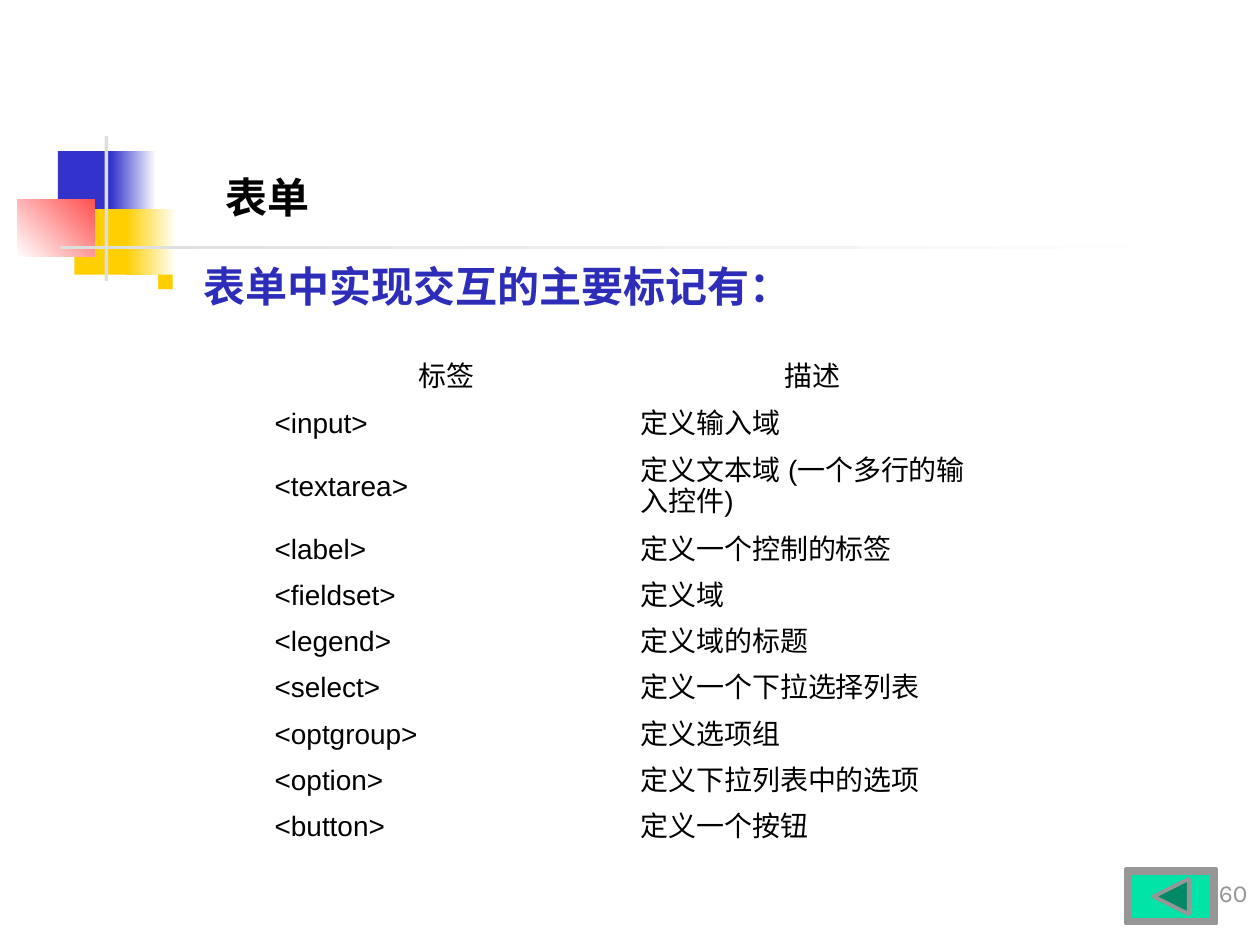
from lxml import etree
from pptx import Presentation
from pptx.dml.color import RGBColor
from pptx.enum.shapes import MSO_SHAPE
from pptx.enum.text import MSO_ANCHOR, PP_ALIGN
from pptx.oxml.ns import qn
from pptx.util import Inches, Pt

CJK_FONT = "Noto Sans CJK SC"
TAGS = [
    ("标签", "描述"),
    ("<input>", "定义输入域"),
    ("<textarea>", "定义文本域 (一个多行的输入控件)"),
    ("<label>", "定义一个控制的标签"),
    ("<fieldset>", "定义域"),
    ("<legend>", "定义域的标题"),
    ("<select>", "定义一个下拉选择列表"),
    ("<optgroup>", "定义选项组"),
    ("<option>", "定义下拉列表中的选项"),
    ("<button>", "定义一个按钮"),
]


def color(value):
    return RGBColor.from_string(value)


def style_paragraph(paragraph, size, font_name, text_color, bold=False):
    for run in paragraph.runs:
        font = run.font
        font.size, font.name, font.bold = Pt(size), font_name, bold
        font.color.rgb = color(text_color)
        east_asian = etree.SubElement(font._element, qn("a:ea"))
        east_asian.set("typeface", font_name)


def add_text(slide, left, top, width, height, text, anchor=MSO_ANCHOR.TOP):
    """Add a wrapped text box and return its paragraph."""
    box = slide.shapes.add_textbox(
        Inches(left), Inches(top), Inches(width), Inches(height))
    text_frame = box.text_frame
    text_frame.word_wrap = True
    text_frame.vertical_anchor = anchor
    text_frame.text = text
    return text_frame.paragraphs[0]


def add_block(slide, left, top, width, height, start, end=None, angle=0):
    """Add a borderless rectangle, solid or fading from start to end."""
    shape = slide.shapes.add_shape(
        MSO_SHAPE.RECTANGLE,
        Inches(left), Inches(top), Inches(width), Inches(height))
    shape.shadow.inherit = False
    shape.line.fill.background()
    if end is None:
        shape.fill.solid()
        shape.fill.fore_color.rgb = color(start)
        return
    shape.fill.gradient()
    shape.fill.gradient_angle = angle
    for stop, position, value in zip(
            shape.fill.gradient_stops, (0, 1), (start, end)):
        stop.position = position
        stop.color.rgb = color(value)


def add_ornament(slide, left, top):
    add_block(slide, left + 0.32, top + 0.12, 0.48, 0.52, "3333CC")
    add_block(slide, left + 0.74, top + 0.12, 0.36, 0.52, "3333CC", "FFFFFF")
    add_block(slide, left + 0.45, top + 0.58, 0.46, 0.52, "FFCF01")
    add_block(slide, left + 0.86, top + 0.58, 0.4, 0.52, "FFCF01", "FFFFFF")
    add_block(slide, left, top + 0.5, 0.61, 0.46, "FFFFFF", "FF5050", 45)
    add_block(slide, left + 0.69, top, 0.03, 1.15, "DDDDDD")
    add_block(slide, left + 0.34, top + 0.87, 9, 0.03, "DDDDDD", "FFFFFF")


def add_title(slide, left, top, width, height):
    paragraph = add_text(
        slide, left, top, width, height, "表单", MSO_ANCHOR.BOTTOM)
    style_paragraph(paragraph, 24, CJK_FONT, "000000", True)


def add_lead(slide, left, top, width, height):
    paragraph = add_text(
        slide, left, top, width, height, "表单中实现交互的主要标记有：")
    properties = paragraph._p.get_or_add_pPr()
    properties.set("marL", str(Inches(0.38)))
    properties.set("indent", str(-Inches(0.38)))
    bullet_color = etree.SubElement(properties, qn("a:buClr"))
    etree.SubElement(bullet_color, qn("a:srgbClr")).set("val", "FFCF01")
    etree.SubElement(properties, qn("a:buSzPct")).set("val", "60000")
    etree.SubElement(properties, qn("a:buChar")).set("char", "■")
    style_paragraph(paragraph, 24, CJK_FONT, "2D2DB9", True)


def add_tag_table(slide, left, top, width, height):
    frame = slide.shapes.add_table(
        len(TAGS), 2, Inches(left), Inches(top), Inches(width), Inches(height))
    table = frame.table
    table.first_row = table.horz_banding = False
    style = table._tbl.tblPr.find(qn("a:tableStyleId"))
    style.text = "{2D5ABB26-0587-4C30-8999-92F81FD0307C}"
    for row_index, texts in enumerate(TAGS):
        table.rows[row_index].height = Inches(0.62 if row_index == 2 else 0.35)
        for column_index, text in enumerate(texts):
            cell = table.cell(row_index, column_index)
            cell.fill.background()
            cell.vertical_anchor = MSO_ANCHOR.MIDDLE
            cell.margin_left = cell.margin_right = Inches(0.09)
            cell.text_frame.text = text
            paragraph = cell.text_frame.paragraphs[0]
            if row_index == 0:
                paragraph.alignment = PP_ALIGN.CENTER
            style_paragraph(paragraph, 16, "Arial", "000000")


def style_button_part(shape, fill_color):
    shape.shadow.inherit = False
    shape.fill.solid()
    shape.fill.fore_color.rgb = color(fill_color)
    shape.line.color.rgb = color("969696")
    shape.line.width = Pt(2.25)


def add_back_button(slide, left, top, width, height):
    frame = slide.shapes.add_shape(
        MSO_SHAPE.BEVEL,
        Inches(left), Inches(top), Inches(width), Inches(height))
    frame.adjustments[0] = 0.07
    style_button_part(frame, "00E4A8")
    center_x, center_y = left + width / 2, top + height / 2
    builder = slide.shapes.build_freeform(
        Inches(center_x - 0.14), Inches(center_y))
    builder.add_line_segments([
        (Inches(center_x + 0.14), Inches(center_y - 0.14)),
        (Inches(center_x + 0.14), Inches(center_y + 0.14)),
    ])
    style_button_part(builder.convert_to_shape(), "008965")


def add_page_number(slide, left, top, width, height):
    paragraph = add_text(
        slide, left, top, width, height, "60", MSO_ANCHOR.BOTTOM)
    paragraph.alignment = PP_ALIGN.RIGHT
    style_paragraph(paragraph, 14, "Karla", "969696")


def main():
    presentation = Presentation()
    presentation.slide_width = Inches(10)
    presentation.slide_height = Inches(7.5)
    slide = presentation.slides.add_slide(presentation.slide_layouts[6])
    add_ornament(slide, 0.14, 1.08)
    add_title(slide, 1.69, 0.76, 7.48, 1.05)
    add_page_number(slide, 7.92, 6.75, 2.08, 0.5)
    add_lead(slide, 1.14, 2.02, 7.32, 0.5)
    add_tag_table(slide, 2.09, 2.81, 5.81, 3.81)
    add_back_button(slide, 8.94, 6.9, 0.71, 0.43)
    presentation.save("out.pptx")


if __name__ == "__main__":
    main()
